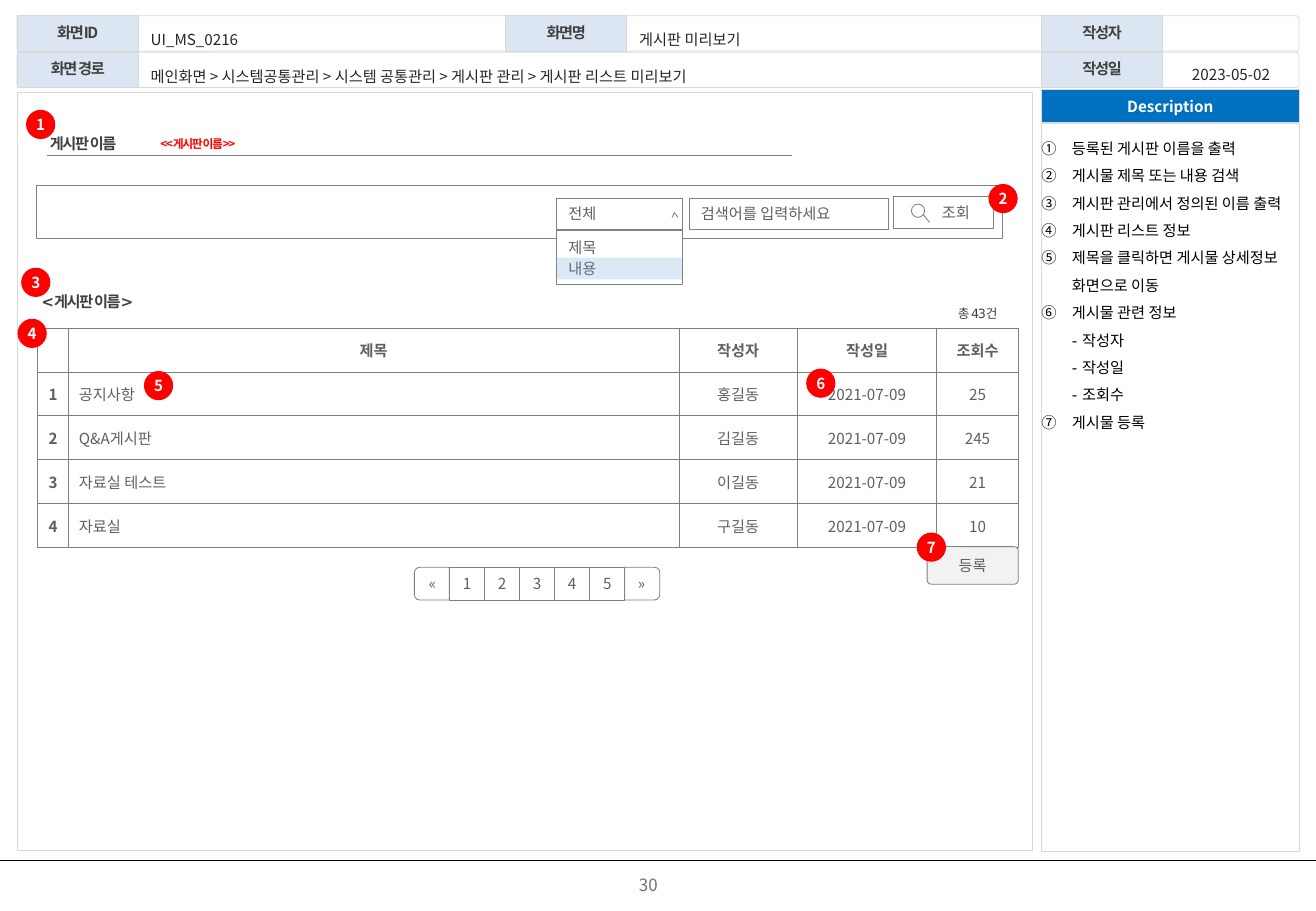
from lxml.etree import SubElement
from pptx import Presentation
from pptx.dml.color import RGBColor
from pptx.enum.shapes import MSO_CONNECTOR, MSO_SHAPE as SHAPE
from pptx.enum.text import MSO_ANCHOR as ANCHOR, MSO_AUTO_SIZE, PP_ALIGN as ALIGN
from pptx.oxml.ns import qn
from pptx.util import Inches, Pt

COLORS = {
    "label": "DCE6F2", "frame": "D9D9D9", "blue": "0070C0", "white": "FFFFFF",
    "black": "000000", "dark": "404040", "value": "262626", "text": "5F5F5F",
    "line": "808080", "red": "FF0000", "button": "F2F2F2", "select": "5B9BD5",
    "page": "717171",
}
NOTO, ROBOTO, DEJAVU = "Noto Sans CJK KR", "Roboto", "DejaVu Sans"


def rgb(name):
    return RGBColor.from_string(COLORS[name])


def write(frame, text, color="text", size=9, font=NOTO, bold=False, align=ALIGN.CENTER,
          spacing=None, after=None, tracking=None):
    frame.text = text
    for paragraph in frame.paragraphs:
        paragraph.alignment = align
        if spacing:
            paragraph.line_spacing = spacing
        if after:
            paragraph.space_after = Pt(after)
        for run in paragraph.runs:
            run.font.size, run.font.name, run.font.bold = Pt(size), font, bold
            run.font.color.rgb = rgb(color)
            properties = run.font._element
            SubElement(properties, qn("a:ea")).set("typeface", NOTO)
            if tracking:
                properties.set("spc", str(round(tracking * 100)))
        if not paragraph.runs:
            SubElement(paragraph._p, qn("a:endParaRPr")).set("sz", str(size * 100))


def set_frame(frame, insets=(0, 0, 0, 0), anchor=ANCHOR.MIDDLE, wrap=True):
    frame.auto_size = MSO_AUTO_SIZE.NONE
    frame.word_wrap, frame.vertical_anchor = wrap, anchor
    (frame.margin_left, frame.margin_top,
     frame.margin_right, frame.margin_bottom) = [Inches(inset) for inset in insets]


def paint(shape, fill=None, line=None, width=0.5):
    shape.shadow.inherit = False
    if fill:
        shape.fill.solid()
        shape.fill.fore_color.rgb = rgb(fill)
    else:
        shape.fill.background()
    if line:
        shape.line.color.rgb, shape.line.width = rgb(line), Pt(width)
    else:
        shape.line.fill.background()


def add_box(slide, box, text="", kind=SHAPE.RECTANGLE, fill="white", line="line", width=0.5,
            insets=(0, 0, 0, 0), anchor=ANCHOR.MIDDLE, wrap=True, radius=None, **style):
    shape = slide.shapes.add_shape(kind, *[Inches(value) for value in box])
    if radius is not None:
        shape.adjustments[0] = radius
    paint(shape, fill, line, width)
    if text:
        set_frame(shape.text_frame, insets, anchor, wrap)
        write(shape.text_frame, text, **style)
    return shape


def add_text(slide, box, text, insets=(0, 0, 0, 0), anchor=ANCHOR.MIDDLE, wrap=True, **style):
    frame = slide.shapes.add_textbox(*[Inches(value) for value in box]).text_frame
    set_frame(frame, insets, anchor, wrap)
    write(frame, text, **style)
    return frame


def add_line(slide, start, end, color="line"):
    points = [Inches(value) for value in (*start, *end)]
    line = slide.shapes.add_connector(MSO_CONNECTOR.STRAIGHT, *points)
    line.line.color.rgb, line.line.width = rgb(color), Pt(0.5)
    SubElement(line._element.spPr, qn("a:effectLst"))


def header(slide, box):
    left, top, width, height = box
    step = 0.3
    for row in range(2):
        add_box(slide, (left, top + row * step, width, height), kind=SHAPE.ROUNDED_RECTANGLE,
                fill=None, line="frame", radius=0.08)
    labels = [("화면ID", 0, 0), ("화면명", 4.02, 0), ("작성자", 8.43, 0),
              ("화면 경로", 0, 1), ("작성일", 8.43, 1)]
    for text, x, row in labels:
        add_box(slide, (left + x, top + row * step, 1, height), text, fill="label",
                line="frame", color="dark", bold=True, spacing=0.9, tracking=-0.8)

    value = dict(color="value", spacing=1.5)
    indent = (0.08, 0, 0, 0)
    title = slide.shapes.title
    title.left, title.top = Inches(left + 5.04), Inches(top)
    title.width, title.height = Inches(3.39), Inches(0.31)
    set_frame(title.text_frame, indent)
    write(title.text_frame, "게시판 미리보기", align=ALIGN.JUSTIFY, **value)
    add_text(slide, (left + 1.02, top, 2.99, 0.31), "UI_MS_0216", indent,
             align=ALIGN.JUSTIFY, **value)
    add_text(slide, (left + 1.02, top + 0.31, 7.4, 0.31),
             "메인화면 > 시스템공통관리 > 시스템 공통관리 > 게시판 관리 > 게시판 리스트 미리보기",
             indent, align=ALIGN.JUSTIFY, **value)
    add_text(slide, (left + 9.45, top + 0.31, 1.08, 0.27), "2023-05-02", **value)


def description(slide, box):
    left, top, width, height = box
    add_box(slide, (left, top + 0.28, width, height - 0.28), fill=None, line="frame")
    add_box(slide, (left, top, width, 0.27), "Description", fill="blue", line="frame",
            color="white", bold=True, wrap=False)
    notes = ["등록된 게시판 이름을 출력", "게시물 제목 또는 내용 검색",
             "게시판 관리에서 정의된 이름 출력", "게시판 리스트 정보",
             "제목을 클릭하면 게시물 상세정보 화면으로 이동",
             "게시물 관련 정보\v- 작성자\v- 작성일\v- 조회수", "게시물 등록"]
    frame = add_text(slide, (left, top + 0.33, width, height - 0.35), "\n".join(notes),
                     anchor=ANCHOR.TOP, color="black", font=DEJAVU, align=ALIGN.LEFT,
                     spacing=1.5)
    for paragraph in frame.paragraphs:
        properties = paragraph._p.get_or_add_pPr()
        properties.set("marL", str(Inches(0.25)))
        properties.set("indent", str(-Inches(0.25)))
        SubElement(properties, qn("a:buFont")).set("typeface", NOTO)
        SubElement(properties, qn("a:buAutoNum")).set("type", "circleNumDbPlain")


def board_name(slide, box):
    left, top, width, height = box
    style = dict(wrap=False, bold=True, align=ALIGN.LEFT, spacing=1.2, tracking=-0.8)
    add_line(slide, (left, top + height), (left + width, top + height))
    add_text(slide, (left + 0.02, top, 0.56, 0.2), "게시판 이름", color="dark", **style)
    add_text(slide, (left + 0.93, top, 2.67, 0.21), "<<게시판 이름>>", color="red", size=7,
             **style)


def search_bar(slide, box):
    left, top, width, height = box
    field = dict(font=ROBOTO, align=ALIGN.LEFT)
    add_box(slide, box)
    # Drop-down list with its open choices
    x, y = left + 4.28, top + 0.1
    add_box(slide, (x, y, 1.04, 0.26), "전체", insets=(0.1, 0.06, 0.28, 0.06), **field)
    builder = slide.shapes.build_freeform(Inches(x + 0.95), Inches(y + 0.16), 1.0)
    builder.add_line_segments([(Inches(x + 0.97), Inches(y + 0.12)),
                               (Inches(x + 1), Inches(y + 0.16))], close=False)
    paint(builder.convert_to_shape(), line="line")
    add_box(slide, (x, y + 0.27, 1.04, 0.44), "제목\n내용", insets=(0.1, 0.06, 0.1, 0.06),
            anchor=ANCHOR.TOP, after=2, **field)
    choice = add_box(slide, (x, y + 0.49, 1.04, 0.18), fill="select", line=None)
    color = choice._element.spPr.find(qn("a:solidFill")).find(qn("a:srgbClr"))
    SubElement(color, qn("a:alpha")).set("val", "22000")
    # Search field and button with its magnifier
    add_box(slide, (left + 5.37, y, 1.64, 0.26), "검색어를 입력하세요",
            insets=(0.1, 0.06, 0.1, 0.06), **field)
    x, y = left + 7.05, top + 0.09
    add_box(slide, (x, y, 0.83, 0.26), "조회", insets=(0.3, 0.06, 0.1, 0.06), font=ROBOTO)
    add_box(slide, (x + 0.15, y + 0.06, 0.11, 0.11), kind=SHAPE.OVAL)
    add_line(slide, (x + 0.25, y + 0.15), (x + 0.3, y + 0.21))


def post_list(slide, box):
    left, top, width, height = box
    caption = dict(wrap=False, font=DEJAVU, color="dark", spacing=1.2, tracking=-0.8)
    add_text(slide, (left + 0.03, top - 0.31, 0.79, 0.16), "<게시판 이름>", bold=True,
             align=ALIGN.LEFT, **caption)
    add_text(slide, (left + 7.59, top - 0.21, 0.31, 0.16), "총 43건", size=7.5,
             align=ALIGN.RIGHT, **caption)

    date = "2021-07-09"
    rows = [("", "제목", "작성자", "작성일", "조회수"),
            ("1", "공지사항", "홍길동", date, "25"),
            ("2", "Q&A게시판", "김길동", date, "245"),
            ("3", "자료실 테스트", "이길동", date, "21"),
            ("4", "자료실", "구길동", date, "10")]
    table = slide.shapes.add_table(len(rows), len(rows[0]),
                                   *[Inches(value) for value in box]).table
    table.first_row = table.horz_banding = False
    for column, column_width in zip(table.columns, (0.25, 5.03, 0.97, 1.15, 0.67)):
        column.width = Inches(column_width)
    for y, row in enumerate(rows):
        table.rows[y].height = Inches(height / len(rows))
        for x, text in enumerate(row):
            cell = table.cell(y, x)
            cell.margin_left = cell.margin_right = Inches(0.09)
            cell.margin_top = cell.margin_bottom = Inches(0.09)
            cell.vertical_anchor = ANCHOR.MIDDLE
            write(cell.text_frame, text, bold=y == 0 or x == 0,
                  align=ALIGN.LEFT if y and x < 2 else ALIGN.CENTER)
            for side in ("lnL", "lnR", "lnT", "lnB"):
                border = SubElement(cell._tc.get_or_add_tcPr(), qn("a:" + side), w=str(Pt(0.5)))
                fill = SubElement(border, qn("a:solidFill"))
                SubElement(fill, qn("a:srgbClr")).set("val", COLORS["line"])
            cell.fill.background()


def pager(slide, box):
    left, top, width, height = box
    step = width / 7
    for index, text in enumerate("«12345»"):
        x = left + index * step
        if text.isdigit():
            add_box(slide, (x, top, step, height), text)
            continue
        # The rounded ends are turned shapes with their text turned back
        shift = (step - height) / 2
        end = add_box(slide, (x + shift, top - shift, height, step), text,
                      kind=SHAPE.ROUND_2_SAME_RECTANGLE)
        end.rotation, direction = (270, "vert") if text == "«" else (90, "vert270")
        end.text_frame._txBody.bodyPr.set("vert", direction)


def badges(slide):
    spots = [(0.22, 0.91), (8.14, 1.52), (0.18, 2.21), (0.15, 2.63), (1.19, 3.06),
             (6.64, 3.04), (7.55, 4.39)]
    for number, spot in enumerate(spots, 1):
        add_box(slide, (*spot, 0.23, 0.23), str(number), kind=SHAPE.OVAL, fill="red", line="red",
                width=0.75, wrap=False, color="white", bold=True)


def main():
    presentation = Presentation()
    presentation.slide_width, presentation.slide_height = Inches(10.83), Inches(7.5)
    slide = presentation.slides.add_slide(presentation.slide_layouts[5])
    header(slide, (0.14, 0.13, 10.55, 0.29))
    add_box(slide, (0.14, 0.76, 8.36, 6.24), fill=None, line="frame")
    description(slide, (8.57, 0.74, 2.12, 6.27))
    board_name(slide, (0.39, 1.07, 6.13, 0.21))
    post_list(slide, (0.31, 2.7, 8.07, 1.81))
    search_bar(slide, (0.3, 1.53, 7.95, 0.43))
    add_box(slide, (7.63, 4.5, 0.75, 0.31), "등록", kind=SHAPE.ROUNDED_RECTANGLE,
            fill="button", radius=0.11, font=ROBOTO)
    pager(slide, (3.41, 4.67, 2.02, 0.27))
    badges(slide)
    # Footer
    add_line(slide, (0, 7.08), (10.83, 7.08), "black")
    add_text(slide, (4.07, 7.13, 2.53, 0.31), "30", size=10, color="page")
    presentation.save("out.pptx")


if __name__ == "__main__":
    main()
